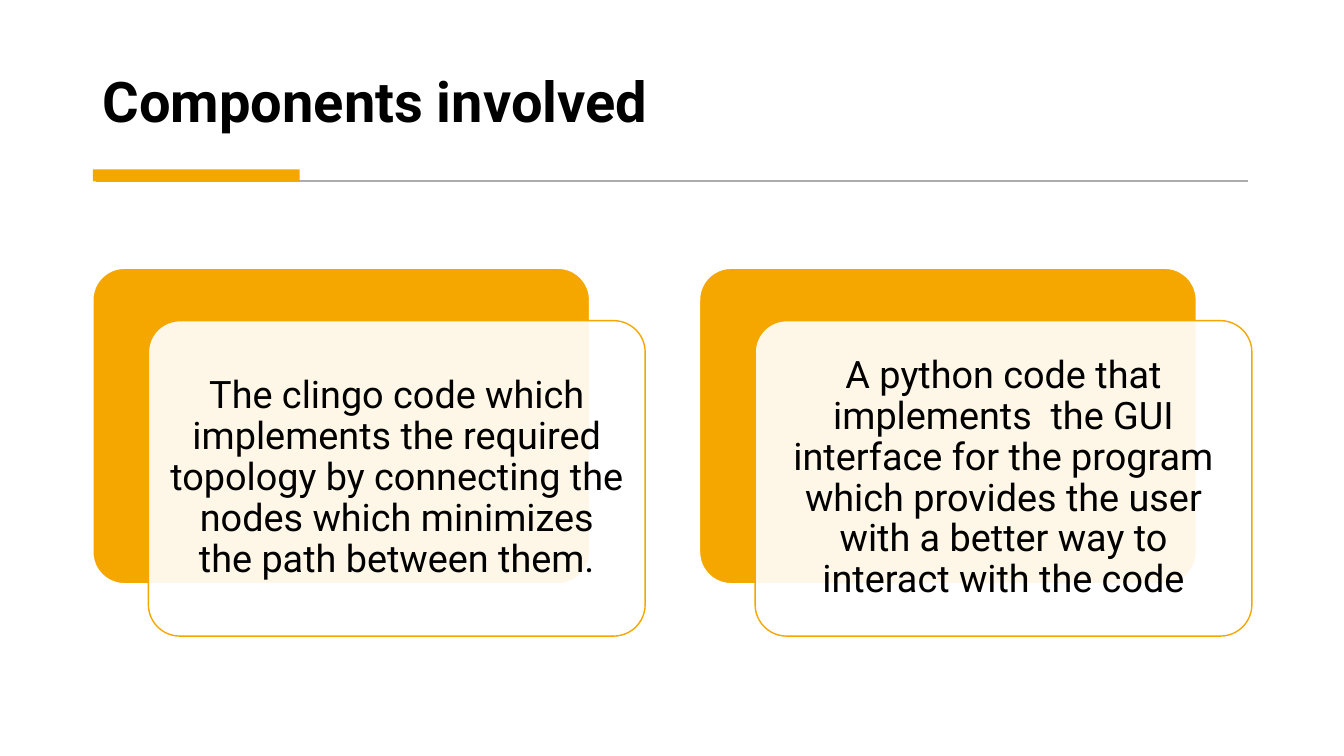
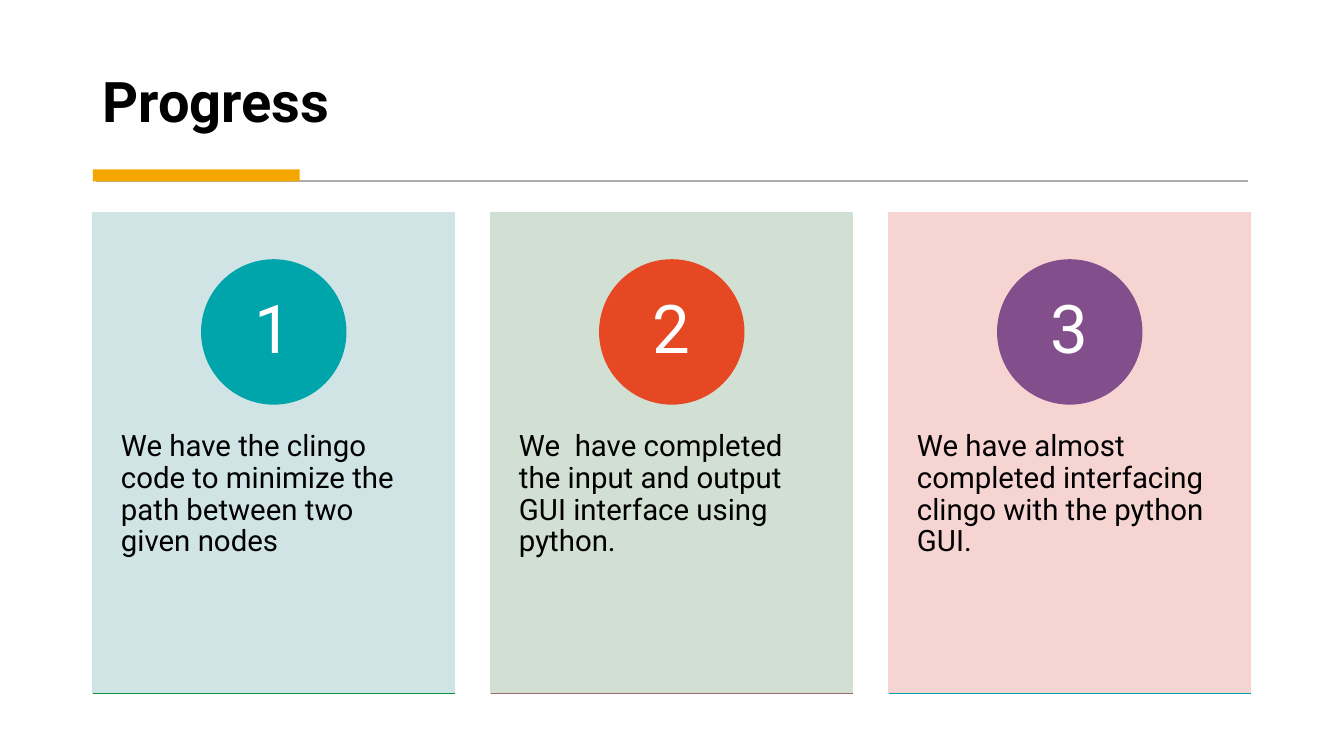
from lxml import etree
from pptx import Presentation, util as u
from pptx.dml.color import RGBColor
from pptx.enum import shapes, text
from pptx.oxml.ns import qn

Cm, Pt = u.Cm, u.Pt
SHAPE, ALIGN, ANCHOR = shapes.MSO_SHAPE, text.PP_ALIGN, text.MSO_ANCHOR
FONT = "Roboto"
COLORS = {
    "text": "000000", "white": "FFFFFF", "accent": "F5A700", "rule": "ADADAD",
    "teal": "00A5AB", "orange": "E64823", "purple": "824F8C",
    "pale teal": "D1E4E5", "pale green": "D1E0D3", "pale red": "F6D4D2",
    "green": "09963B", "brown": "9C6A6A",
}
rgb = {name: RGBColor.from_string(value) for name, value in COLORS.items()}


def add_box(s, kind, x, y, w, h, fill=None, line=None, words="", size=18,
            color="text", bold=False, align=ALIGN.LEFT, anchor=ANCHOR.MIDDLE,
            insets=(0.28, 0.28)):
    """Add a shape, or a text box when kind is None; lengths in cm."""
    place = Cm(x), Cm(y), Cm(w), Cm(h)
    if kind is None:
        sp = s.shapes.add_textbox(*place)
    else:
        sp = s.shapes.add_shape(kind, *place)
        sp.shadow.inherit = False
        sp.fill.solid()
        sp.fill.fore_color.rgb = rgb[fill]
        if line:
            sp.line.color.rgb = rgb[line]
            sp.line.width = Pt(1)
        else:
            sp.line.fill.background()
    if words:
        tf = sp.text_frame
        tf.word_wrap = True
        tf.vertical_anchor = anchor
        tf.margin_left = tf.margin_right = Cm(insets[0])
        tf.margin_top = tf.margin_bottom = Cm(insets[1])
        p = tf.paragraphs[0]
        p.text = words
        p.alignment, p.line_spacing = align, 0.9
        p.font.name, p.font.size, p.font.bold = FONT, Pt(size), bold
        p.font.color.rgb = rgb[color]
    return sp


def add_rule(s, x, y, w, color, width):
    """Add a horizontal line; lengths in cm, width in points."""
    cx = s.shapes.add_connector(shapes.MSO_CONNECTOR.STRAIGHT,
                                Cm(x), Cm(y), Cm(x + w), Cm(y))
    cx.line.color.rgb = rgb[color]
    cx.line.width = Pt(width)
    etree.SubElement(cx._element.spPr, qn("a:effectLst"))


prs = Presentation()
prs.slide_width, prs.slide_height = Cm(33.87), Cm(19.05)
LEFT = 2.34

# Shared title, rule and accent bar
slides = []
for title in ("Components involved", "Progress"):
    s = prs.slides.add_slide(prs.slide_layouts[6])
    add_box(s, None, LEFT, 0.71, 29.18, 2.82, words=title, size=40, bold=True,
            anchor=ANCHOR.BOTTOM, insets=(0.25, 0.13))
    add_rule(s, 2.41, 4.56, 29.03, "rule", 1)
    add_box(s, SHAPE.RECTANGLE, LEFT, 4.27, 5.21, 0.3, "accent")
    slides.append(s)
components, progress = slides

# Components: a translucent card in front of each solid one
CARD_W, CARD_H, CARD_TOP, CARD_PITCH = 12.52, 7.95, 6.76, 15.29
descriptions = (
    "The clingo code which implements the required topology by connecting "
    "the nodes which minimizes the path between them.",
    "A python code that implements  the GUI interface for the program which "
    "provides the user with a better way to interact with the code",
)
for i, words in enumerate(descriptions):
    x = LEFT + i * CARD_PITCH
    back = add_box(components, SHAPE.ROUNDED_RECTANGLE, x, CARD_TOP,
                   CARD_W, CARD_H, "accent", "white")
    front = add_box(components, SHAPE.ROUNDED_RECTANGLE, x + 1.4,
                    CARD_TOP + 1.32, CARD_W, CARD_H, "white", "accent",
                    words, 27, align=ALIGN.CENTER)
    for card in (back, front):
        card.adjustments[0] = 0.1
    fill_color = front._element.spPr.find(qn("a:solidFill"))[0]
    etree.SubElement(fill_color, qn("a:alpha"), val="90000")

# Progress: numbered panels, each with a coloured base line
PANEL_W, PANEL_H, PANEL_TOP, PANEL_PITCH = 9.12, 12.11, 5.36, 10.03
CIRCLE = 3.63
steps = (
    ("We have the clingo code to minimize the path between two given nodes",
     "pale teal", "teal", "green"),
    ("We  have completed the input and output GUI interface using python.",
     "pale green", "orange", "brown"),
    ("We have almost completed interfacing clingo with the python GUI.",
     "pale red", "purple", "teal"),
)
for i, (words, panel_color, circle_color, base_color) in enumerate(steps):
    x = LEFT + i * PANEL_PITCH
    panel = add_box(progress, SHAPE.RECTANGLE, x, PANEL_TOP, PANEL_W, PANEL_H,
                    panel_color, panel_color, words, 21, anchor=ANCHOR.TOP,
                    insets=(0.71, 0.91))
    panel.text_frame.margin_top = Cm(5.51)
    add_box(progress, SHAPE.OVAL, x + (PANEL_W - CIRCLE) / 2, PANEL_TOP + 1.19,
            CIRCLE, CIRCLE, circle_color, circle_color, str(i + 1), 48,
            "white", align=ALIGN.CENTER, insets=(0.28, 0.03))
    add_rule(progress, x, PANEL_TOP + PANEL_H, PANEL_W, base_color, 1)

prs.save("out.pptx")
